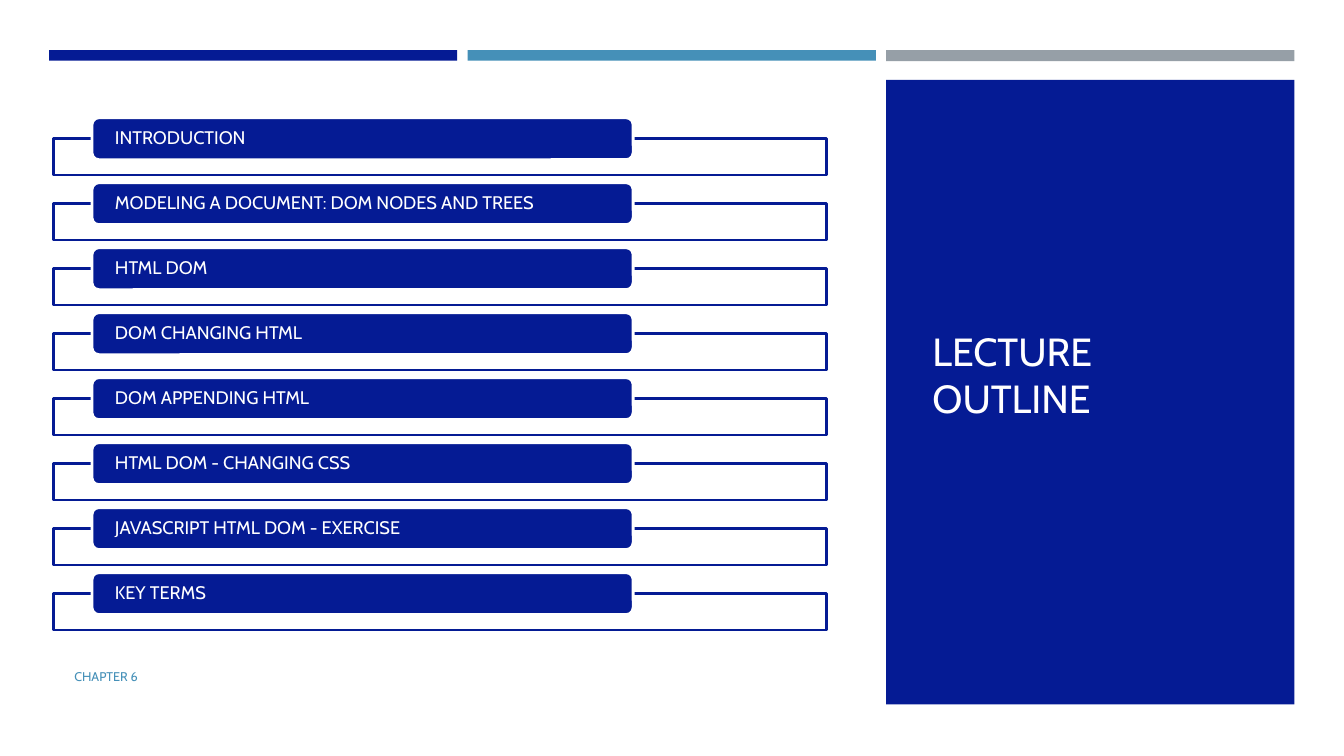
from dataclasses import dataclass

from lxml.etree import SubElement
from pptx import Presentation
from pptx.dml.color import RGBColor
from pptx.enum.shapes import MSO_SHAPE
from pptx.enum.text import MSO_ANCHOR, PP_ALIGN
from pptx.oxml.ns import qn
from pptx.util import Pt


@dataclass(frozen=True)
class Theme:
    font: str = "Cabin"
    navy: str = "051B94"
    blue: str = "4590B8"
    gray: str = "969FA7"
    white: str = "FFFFFF"
    title_color: str = "FFFEFF"
    title_size: float = 28
    topic_size: float = 13
    footer_size: float = 9


class SlideBuilder:
    def __init__(self, slide, theme):
        self.slide = slide
        self.theme = theme

    def shape(self, kind, box, fill, line=None, line_width=0, opacity=None):
        sp = self.slide.shapes.add_shape(kind, *map(Pt, box))
        sp.shadow.inherit = False
        sp.fill.solid()
        sp.fill.fore_color.rgb = RGBColor.from_string(fill)
        if opacity is not None:
            color = sp.element.spPr.find(qn("a:solidFill"))[0]
            SubElement(color, qn("a:alpha")).set("val", str(opacity * 1000))
        if line:
            sp.line.color.rgb = RGBColor.from_string(line)
            sp.line.width = Pt(line_width)
        else:
            sp.line.fill.background()
        return sp

    def label(self, sp, text, size, color, inset=7.2, spacing=1.0):
        tf = sp.text_frame
        tf.word_wrap = True
        tf.vertical_anchor = MSO_ANCHOR.MIDDLE
        tf.margin_left = tf.margin_right = Pt(inset)
        tf.margin_top = tf.margin_bottom = 0
        p = tf.paragraphs[0]
        p.text = text
        p.alignment = PP_ALIGN.LEFT
        p.line_spacing = spacing
        p.font.name = self.theme.font
        p.font.size = Pt(size)
        p.font.color.rgb = RGBColor.from_string(color)

    def text(self, box, text, size, color):
        sp = self.slide.shapes.add_textbox(*map(Pt, box))
        self.label(sp, text, size, color)

    def topic(self, top, text):
        t = self.theme
        self.shape(MSO_SHAPE.RECTANGLE, (38.2, top + 15, 552.2, 25.9),
                   t.white, t.navy, 1.75, opacity=90)
        pill = self.shape(MSO_SHAPE.ROUNDED_RECTANGLE, (65.7, top, 386.6, 30),
                          t.navy, t.white, 2)
        self.label(pill, text, t.topic_size, t.white, inset=15, spacing=0.9)


TOPICS = [
    "INTRODUCTION",
    "MODELING A DOCUMENT: DOM NODES AND TREES",
    "HTML DOM",
    "DOM CHANGING HTML",
    "DOM APPENDING HTML",
    "HTML DOM - CHANGING CSS",
    "JAVASCRIPT HTML DOM - EXERCISE",
    "KEY TERMS",
]
COLUMN_LEFT, COLUMN_PITCH, COLUMN_WIDTH = 35, 299, 291.6
TOPIC_TOP, TOPIC_PITCH = 84.1, 46.42


def main():
    prs = Presentation()
    prs.slide_width, prs.slide_height = Pt(960), Pt(540)
    theme = Theme()
    s = SlideBuilder(prs.slides.add_slide(prs.slide_layouts[6]), theme)

    # Colour bars along the top
    bars = [(theme.navy, 7.5), (theme.blue, 7.5), (theme.gray, 8)]
    for i, (color, height) in enumerate(bars):
        left = COLUMN_LEFT + i * COLUMN_PITCH
        s.shape(MSO_SHAPE.RECTANGLE, (left, 35.8, COLUMN_WIDTH, height), color)

    # Title panel
    panel_left = COLUMN_LEFT + 2 * COLUMN_PITCH
    s.shape(MSO_SHAPE.RECTANGLE, (panel_left, 57, COLUMN_WIDTH, 446.2), theme.navy)
    s.text((659, 82, 240.5, 371), "LECTURE OUTLINE",
           theme.title_size, theme.title_color)

    # Topic list
    for i, topic in enumerate(TOPICS):
        s.topic(TOPIC_TOP + i * TOPIC_PITCH, topic)

    # Footer
    s.text((46, 469, 544.4, 28.8), "CHAPTER 6", theme.footer_size, theme.blue)

    prs.save("out.pptx")


if __name__ == "__main__":
    main()
